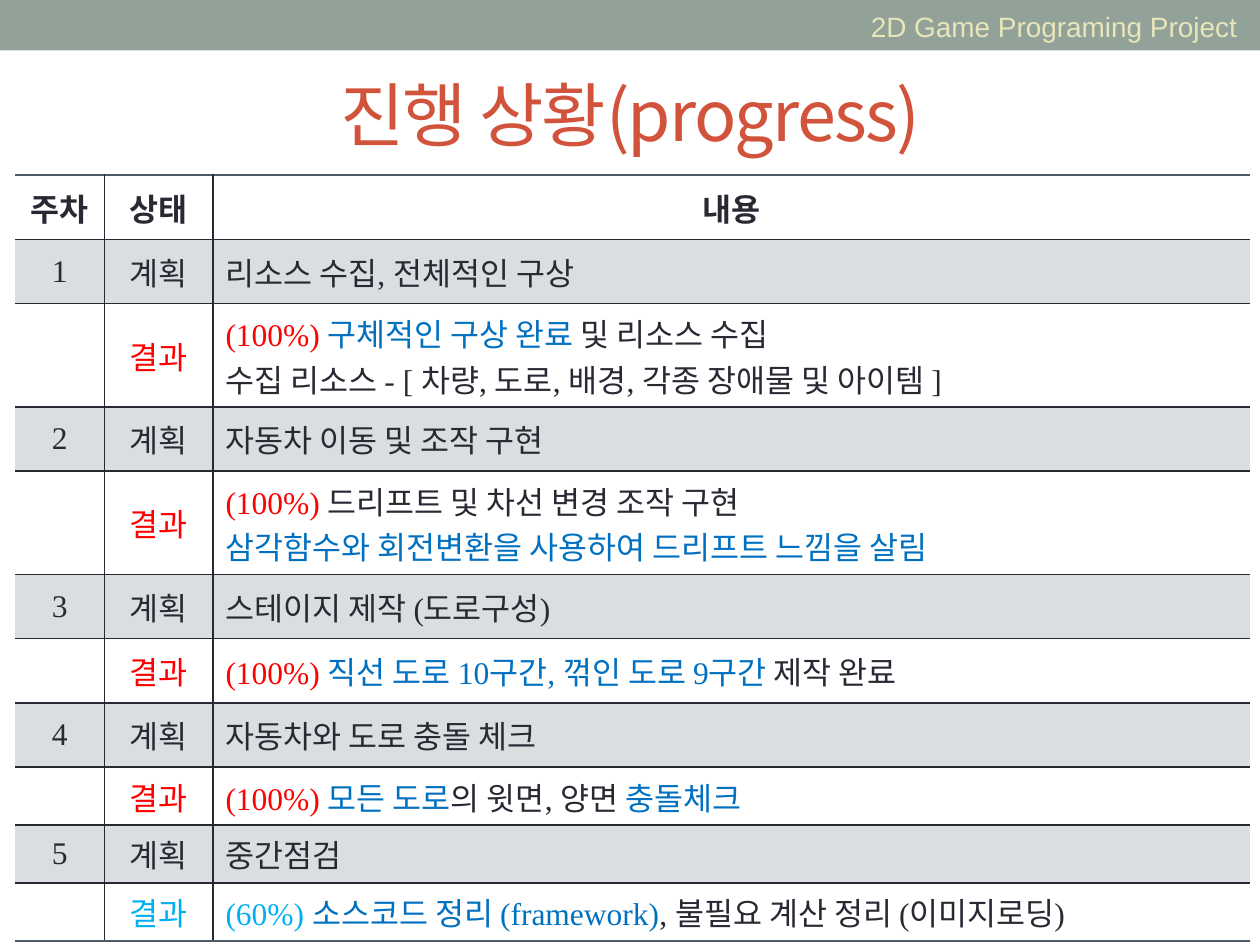
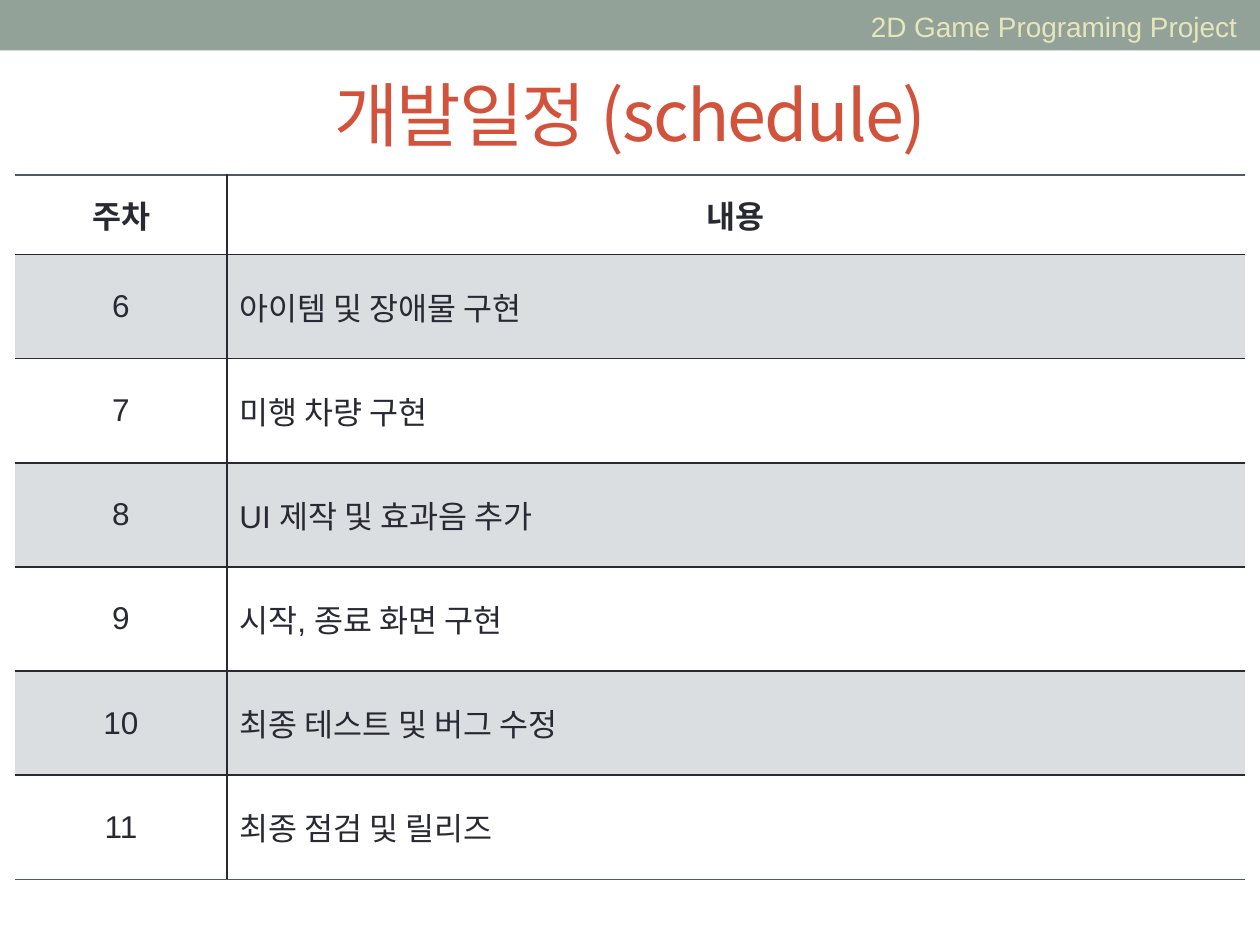
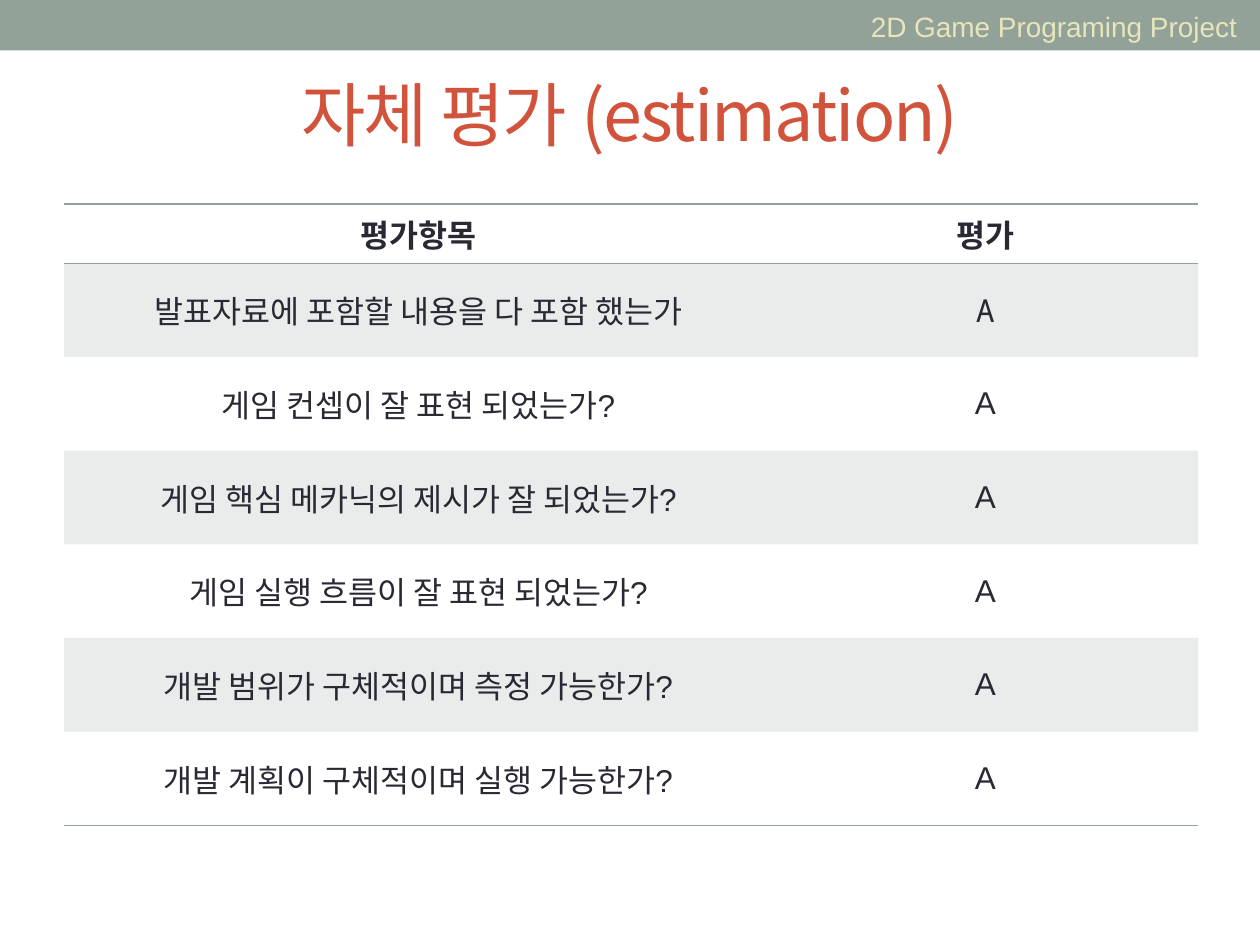
from dataclasses import dataclass
from typing import Any, NamedTuple, Optional

import pptx
import pptx.dml.color
import pptx.enum.shapes
import pptx.enum.text
import pptx.oxml
import pptx.oxml.ns
import pptx.util

Inches = pptx.util.Inches
Pt = pptx.util.Pt
CENTER = pptx.enum.text.PP_ALIGN.CENTER
LEFT = pptx.enum.text.PP_ALIGN.LEFT
MIDDLE = pptx.enum.text.MSO_ANCHOR.MIDDLE

INK = "292934"
SLATE = "4C5A6A"
SAGE = "93A299"
TITLE_RED = "D2533C"
CREAM = "E7E5BA"
RED = "FF0000"
BLUE = "0070C0"
SKY = "00B0F0"

SANS = "Arial"
SERIF = "Times New Roman"
MONO = "Noto Sans Mono"
KOREAN = "Noto Sans CJK KR"
PLAIN_TABLE_STYLE = "{2D5ABB26-0587-4C30-8999-92F81FD0307C}"
BORDER_TAGS = {"left": "a:lnL", "right": "a:lnR", "top": "a:lnT", "bottom": "a:lnB"}


class Run(NamedTuple):
    text: str
    color: str = INK
    font: Optional[str] = None


Paragraph = list[Run]
Cell = list[Paragraph]


class Box(NamedTuple):
    left: float
    top: float
    width: float
    height: float

    def lengths(self) -> list[int]:
        return [Inches(value) for value in self]


@dataclass
class TextStyle:
    size: float
    font: str
    bold: bool = False
    spacing: float = 0


@dataclass
class TableDesign:
    box: Box
    columns: list[float]
    row_heights: list[float]
    alignments: list[Any]
    font: str
    edge: str
    band: str
    inner_lines: bool
    rows: list[list[Cell]]


@dataclass
class SlideContent:
    title: str
    table: TableDesign


TITLE_STYLE = TextStyle(40, KOREAN, spacing=-1)
PROJECT_STYLE = TextStyle(16, SANS)


def rgb(color: str) -> pptx.dml.color.RGBColor:
    return pptx.dml.color.RGBColor.from_string(color)


def set_attributes(target: Any, values: dict[str, Any]) -> None:
    for name, value in values.items():
        setattr(target, name, value)


def cell(text: str, color: str = INK, font: Optional[str] = None) -> Cell:
    return [[Run(text, color, font)]]


def write_paragraphs(text_frame: Any, paragraphs: Cell, style: TextStyle, alignment: Any) -> None:
    for index, runs in enumerate(paragraphs):
        paragraph = text_frame.add_paragraph() if index else text_frame.paragraphs[0]
        paragraph.alignment = alignment
        for item in runs:
            run = paragraph.add_run()
            run.text = item.text
            set_attributes(run.font, {
                "size": Pt(style.size),
                "bold": style.bold,
                "name": item.font or style.font,
            })
            run.font.color.rgb = rgb(item.color)
            if style.spacing:
                run._r.get_or_add_rPr().set("spc", str(round(style.spacing * 100)))


def add_text(slide: Any, box: Box, text: str, color: str, style: TextStyle) -> None:
    text_frame = slide.shapes.add_textbox(*box.lengths()).text_frame
    set_attributes(text_frame, {"word_wrap": True, "vertical_anchor": MIDDLE})
    write_paragraphs(text_frame, cell(text, color), style, CENTER)


def add_band(slide: Any) -> None:
    band = slide.shapes.add_shape(
        pptx.enum.shapes.MSO_SHAPE.RECTANGLE, *Box(0, 0, 10, 0.4).lengths())
    band.shadow.inherit = False
    band.fill.solid()
    band.fill.fore_color.rgb = rgb(SAGE)
    band.line.fill.background()


def fill_cell(table_cell: Any, color: Optional[str]) -> None:
    """Tint the cell with 20% of the colour, or leave it clear."""
    if color is None:
        table_cell.fill.background()
        return
    table_cell.fill.solid()
    table_cell.fill.fore_color.rgb = rgb(color)
    for element in table_cell._tc.iter(pptx.oxml.ns.qn("a:srgbClr")):
        if element.getparent().getparent().tag == pptx.oxml.ns.qn("a:tcPr"):
            element.append(pptx.oxml.parse_xml(
                f'<a:alpha {pptx.oxml.ns.nsdecls("a")} val="20000"/>'))


def set_borders(table_cell: Any, borders: dict[str, str]) -> None:
    """Insert border lines ahead of the fill, in schema order."""
    properties = table_cell._tc.get_or_add_tcPr()
    sides = [side for side in BORDER_TAGS if side in borders]
    for position, side in enumerate(sides):
        tag = BORDER_TAGS[side]
        properties.insert(position, pptx.oxml.parse_xml(
            f'<{tag} {pptx.oxml.ns.nsdecls("a")} w="{Pt(1)}"><a:solidFill>'
            f'<a:srgbClr val="{borders[side]}"/></a:solidFill></{tag}>'))


def borders_for(design: TableDesign, row: int, column: int) -> dict[str, str]:
    last_row = len(design.rows) - 1
    borders = {}
    if row == 0:
        borders["top"] = design.edge
    if row == last_row:
        borders["bottom"] = design.edge
    if design.inner_lines:
        if row > 0:
            borders["top"] = INK
        if row < last_row:
            borders["bottom"] = INK
        if column > 0:
            borders["left"] = INK
        if column < len(design.columns) - 1:
            borders["right"] = INK
    elif row == 0:
        borders["bottom"] = design.edge
    return borders


def add_table(slide: Any, design: TableDesign) -> None:
    frame = slide.shapes.add_table(
        len(design.rows), len(design.columns), *design.box.lengths())
    table = frame.table
    for style_id in frame.element.iter(pptx.oxml.ns.qn("a:tableStyleId")):
        style_id.text = PLAIN_TABLE_STYLE
    for column, width in zip(table.columns, design.columns):
        column.width = Inches(width)
    for row, height in zip(table.rows, design.row_heights):
        row.height = Inches(height)

    for row_index, row_cells in enumerate(design.rows):
        is_header = row_index == 0
        style = TextStyle(18, design.font, bold=is_header)
        for column_index, content in enumerate(row_cells):
            table_cell = table.cell(row_index, column_index)
            table_cell.vertical_anchor = MIDDLE
            alignment = CENTER if is_header else design.alignments[column_index]
            write_paragraphs(table_cell.text_frame, content, style, alignment)
            fill_cell(table_cell, design.band if row_index % 2 else None)
            set_borders(table_cell, borders_for(design, row_index, column_index))


def header_and_equal_rows(total: float, header: float, count: int) -> list[float]:
    return [header] + [(total - header) / count] * count


def week_rows(week: int, plan: str, result: Cell) -> list[list[Cell]]:
    """Give the plan row and the result row; the result label takes the colour of its rate."""
    return [
        [cell(str(week)), cell("계획"), cell(plan)],
        [[], cell("결과", result[0][0].color), result],
    ]


DONE = Run("(100%) ", RED)

WEEKS: list[tuple[str, Cell]] = [
    ("리소스 수집, 전체적인 구상", [
        [DONE, Run("구체적인 구상 완료 ", BLUE), Run("및 리소스 수집")],
        [Run("수집 리소스 - [ 차량, 도로, 배경, 각종 장애물 및 아이템 ]")],
    ]),
    ("자동차 이동 및 조작 구현", [
        [DONE, Run("드리프트 및 차선 변경 조작 구현")],
        [Run("삼각함수와 회전변환을 사용하여 드리프트 느낌을 살림", BLUE)],
    ]),
    ("스테이지 제작 (도로구성)", [
        [DONE, Run("직선 도로 10구간, 꺾인 도로 9구간 ", BLUE), Run("제작 완료")],
    ]),
    ("자동차와 도로 충돌 체크", [
        [DONE, Run("모든 도로", BLUE), Run("의 윗면, 양면 "), Run("충돌체크", BLUE)],
    ]),
    ("중간점검", [
        [Run("(60%) ", SKY), Run("소스코드 정리 (framework)", BLUE),
         Run(", 불필요 계산 정리 (이미지로딩)")],
    ]),
]

TASKS = [
    "아이템 및 장애물 구현",
    "미행 차량 구현",
    "UI 제작 및 효과음 추가",
    "시작, 종료 화면 구현",
    "최종 테스트 및 버그 수정",
    "최종 점검 및 릴리즈",
]

QUESTIONS = [
    "게임 컨셉이 잘 표현 되었는가?",
    "게임 핵심 메카닉의 제시가 잘 되었는가?",
    "게임 실행 흐름이 잘 표현 되었는가?",
    "개발 범위가 구체적이며 측정 가능한가?",
    "개발 계획이 구체적이며 실행 가능한가?",
]

PROGRESS = TableDesign(
    box=Box(0.12, 1.39, 9.8, 6.08),
    columns=[0.71, 0.86, 8.23],
    row_heights=[0.51, 0.51, 0.82, 0.51, 0.82, 0.51, 0.51, 0.51, 0.46, 0.46, 0.46],
    alignments=[CENTER, CENTER, LEFT],
    font=SERIF, edge=SLATE, band=SLATE, inner_lines=True,
    rows=[[cell("주차"), cell("상태"), cell("내용")]] + [
        row for week, (plan, result) in enumerate(WEEKS, start=1)
        for row in week_rows(week, plan, result)],
)

SCHEDULE = TableDesign(
    box=Box(0.12, 1.39, 9.76, 5.59),
    columns=[1.68, 8.08],
    row_heights=header_and_equal_rows(5.59, 0.63, len(TASKS)),
    alignments=[CENTER, LEFT],
    font=SANS, edge=SLATE, band=SLATE, inner_lines=True,
    rows=[[cell("주차"), cell("내용")]] + [
        [cell(str(week)), cell(task)] for week, task in enumerate(TASKS, start=6)],
)

ESTIMATION = TableDesign(
    box=Box(0.51, 1.62, 9, 4.93),
    columns=[5.62, 3.38],
    row_heights=header_and_equal_rows(4.93, 0.47, len(QUESTIONS) + 1),
    alignments=[CENTER, CENTER],
    font=SANS, edge=SAGE, band=SAGE, inner_lines=False,
    rows=[
        [cell("평가항목"), cell("평가")],
        [cell("발표자료에 포함할 내용을 다 포함 했는가"), cell("A", font=MONO)],
    ] + [[cell(question), cell("A")] for question in QUESTIONS],
)

SLIDES = [
    SlideContent("진행 상황(progress)", PROGRESS),
    SlideContent("개발일정 (schedule)", SCHEDULE),
    SlideContent("자체 평가 (estimation)", ESTIMATION),
]


def main() -> None:
    presentation = pptx.Presentation()
    set_attributes(presentation, {"slide_width": Inches(10), "slide_height": Inches(7.5)})
    for content in SLIDES:
        slide = presentation.slides.add_slide(presentation.slide_layouts[6])
        add_band(slide)
        add_text(slide, Box(0, 0.36, 10, 1.08), content.title, TITLE_RED, TITLE_STYLE)
        add_table(slide, content.table)
        add_text(slide, Box(6.73, -0.11, 3.27, 0.63),
                 "2D Game Programing Project", CREAM, PROJECT_STYLE)
    presentation.save("out.pptx")


if __name__ == "__main__":
    main()
